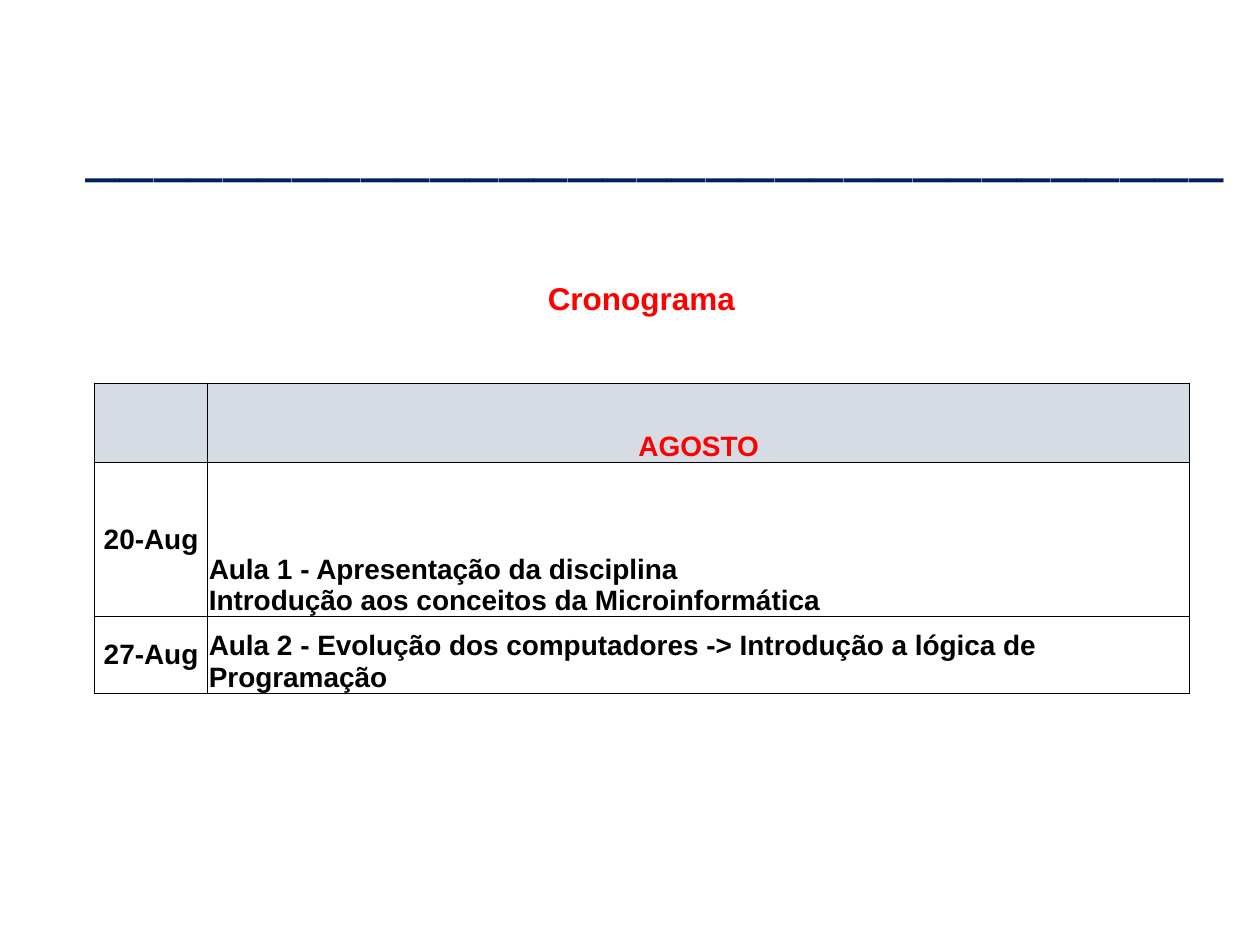
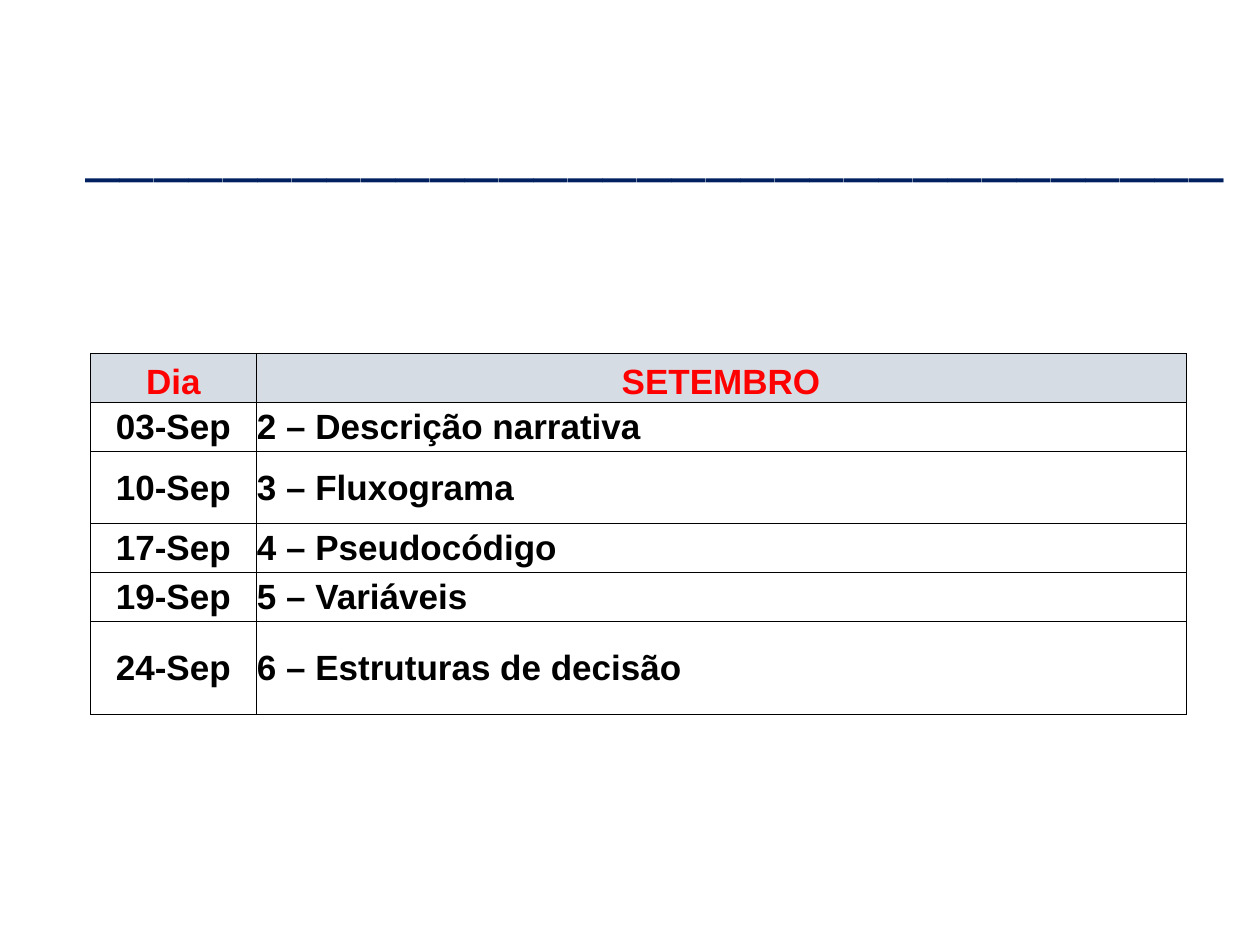
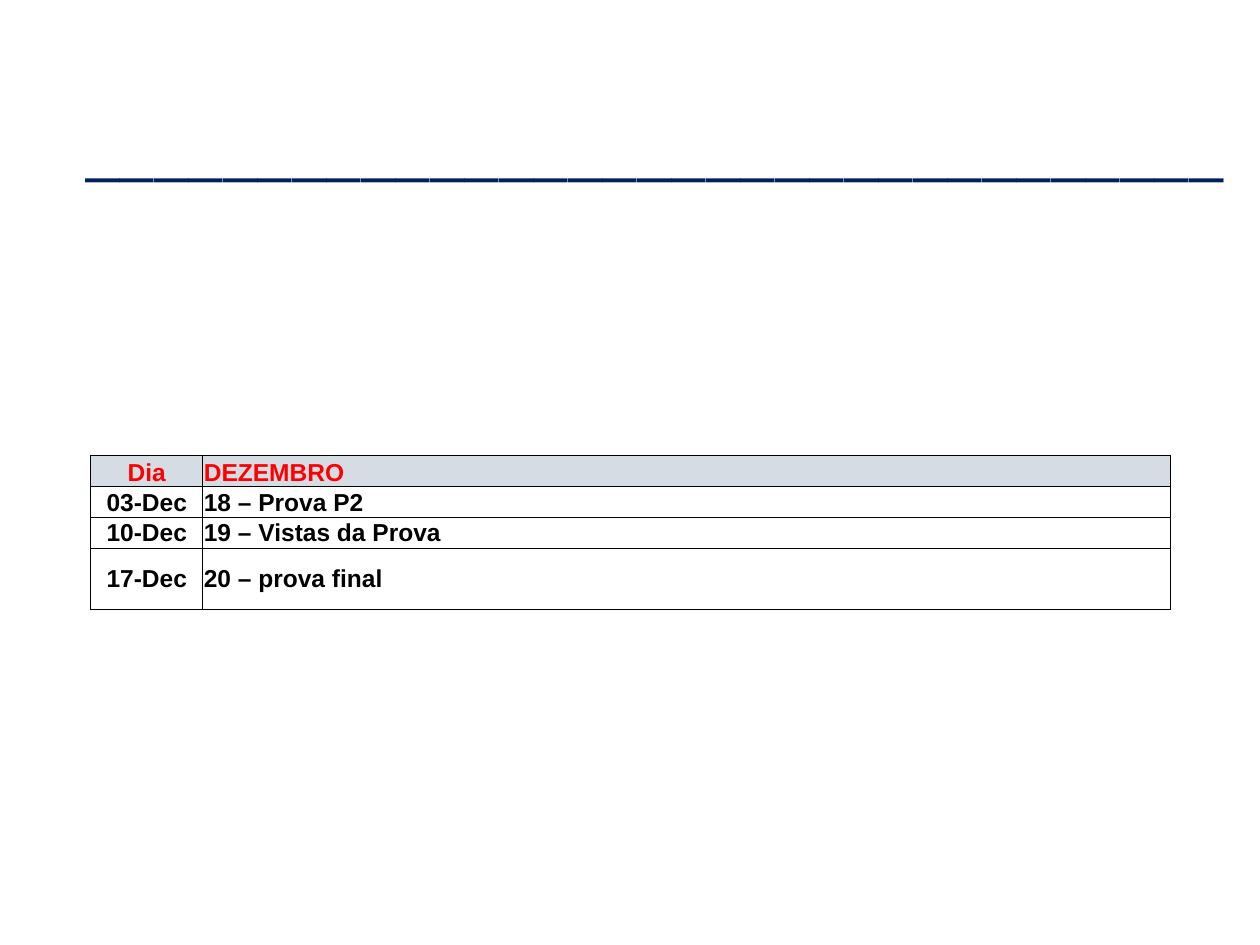
from dataclasses import dataclass

from lxml.etree import SubElement
from pptx import Presentation
from pptx.dml.color import RGBColor
from pptx.enum.text import MSO_ANCHOR as Anchor, PP_ALIGN as Align
from pptx.oxml.ns import qn
from pptx.slide import Slide
from pptx.table import _Cell as Cell
from pptx.text.text import TextFrame
from pptx.util import Cm, Pt


@dataclass(frozen=True)
class Theme:
    rule: str = "002060"
    accent: str = "FF0000"
    ink: str = "000000"
    header: str = "D6DCE4"
    rule_font: str = "Calibri"
    body_font: str = "Arial"
    rule_size: float = 39.6
    heading_size: float = 18
    border: float = 0.5


@dataclass(frozen=True)
class Schedule:
    left: float
    top: float
    columns: tuple[float, float]
    heights: tuple[float, ...]
    size: float
    header: tuple[str, str]
    classes: tuple[tuple[str, str], ...]
    month_align: Align = Align.CENTER
    topic_anchor: Anchor = Anchor.MIDDLE
    heading: str = ""


THEME = Theme()

SCHEDULES = (
    Schedule(
        1.9, 7.72, (2.29, 19.79), (1.6, 3.1, 1.55), 16,
        ("", "AGOSTO"),
        (
            ("20-Aug", "Aula 1 - Apresentação da disciplina\n"
                       "Introdução aos conceitos da Microinformática"),
            ("27-Aug", "Aula 2 - Evolução dos computadores -> "
                       "Introdução a lógica de Programação"),
        ),
        topic_anchor=Anchor.BOTTOM,
        heading="Cronograma",
    ),
    Schedule(
        1.83, 7.12, (3.33, 18.75), (0.99, 0.99, 1.45, 0.99, 0.99, 1.88), 20,
        ("Dia", "SETEMBRO"),
        (
            ("03-Sep", "2 – Descrição narrativa"),
            ("10-Sep", "3 – Fluxograma"),
            ("17-Sep", "4 – Pseudocódigo"),
            ("19-Sep", "5 – Variáveis"),
            ("24-Sep", "6 – Estruturas de decisão"),
        ),
    ),
    Schedule(
        1.83, 9.18, (2.26, 19.51), (0.63, 0.62, 0.62, 1.24), 14,
        ("Dia", "DEZEMBRO"),
        (
            ("03-Dec", "18 – Prova P2"),
            ("10-Dec", "19 – Vistas da Prova"),
            ("17-Dec", "20 – prova final"),
        ),
        month_align=Align.LEFT,
    ),
)


def write(frame: TextFrame, text: str, *, size: float, color: str,
          font: str = THEME.body_font, bold: bool = True,
          align: Align = Align.CENTER) -> None:
    frame.word_wrap = True
    frame.text = text
    for paragraph in frame.paragraphs:
        paragraph.alignment = align
        for run in paragraph.runs:
            run.font.name = font
            run.font.size = Pt(size)
            run.font.bold = bold
            run.font.color.rgb = RGBColor.from_string(color)


def draw_rule(slide: Slide) -> None:
    rule = slide.shapes.add_textbox(Cm(1.3), Cm(1.35), Cm(23.8), Cm(3.18))
    rule.text_frame.vertical_anchor = Anchor.MIDDLE
    write(rule.text_frame, "_" * 33, size=THEME.rule_size, color=THEME.rule,
          font=THEME.rule_font, bold=False)


def draw_heading(slide: Slide, text: str) -> None:
    heading = slide.shapes.add_textbox(Cm(6.53), Cm(5.51), Cm(12.8), Cm(1.02))
    write(heading.text_frame, text, size=THEME.heading_size, color=THEME.accent)


def add_borders(cell: Cell) -> None:
    properties = cell._tc.get_or_add_tcPr()
    for side in ("a:lnL", "a:lnR", "a:lnT", "a:lnB"):
        line = SubElement(properties, qn(side), w=str(Pt(THEME.border)))
        fill = SubElement(line, qn("a:solidFill"))
        SubElement(fill, qn("a:srgbClr"), val=THEME.ink)


def draw_schedule(slide: Slide, schedule: Schedule) -> None:
    rows = (schedule.header, *schedule.classes)
    table = slide.shapes.add_table(
        len(rows), len(schedule.columns), Cm(schedule.left), Cm(schedule.top),
        Cm(sum(schedule.columns)), Cm(sum(schedule.heights))).table
    table.first_row = table.horz_banding = False
    for column, width in zip(table.columns, schedule.columns):
        column.width = Cm(width)
    for row, height in zip(table.rows, schedule.heights):
        row.height = Cm(height)

    for row_index, texts in enumerate(rows):
        is_header = row_index == 0
        topic_align = schedule.month_align if is_header else Align.LEFT
        day_anchor = Anchor.BOTTOM if is_header else Anchor.MIDDLE
        topic_anchor = Anchor.BOTTOM if is_header else schedule.topic_anchor
        aligns = (Align.CENTER, topic_align)
        anchors = (day_anchor, topic_anchor)
        for column_index, text in enumerate(texts):
            cell = table.cell(row_index, column_index)
            cell.margin_left = cell.margin_right = cell.margin_top = Cm(0.02)
            cell.margin_bottom = 0
            cell.vertical_anchor = anchors[column_index]
            add_borders(cell)
            if is_header:
                cell.fill.solid()
                cell.fill.fore_color.rgb = RGBColor.from_string(THEME.header)
            else:
                cell.fill.background()
            if text:
                write(cell.text_frame, text, size=schedule.size,
                      color=THEME.accent if is_header else THEME.ink,
                      align=aligns[column_index])


def main() -> None:
    deck = Presentation()
    deck.slide_width, deck.slide_height = Cm(25.4), Cm(19.05)
    blank = deck.slide_layouts[6]
    for schedule in SCHEDULES:
        slide = deck.slides.add_slide(blank)
        draw_rule(slide)
        draw_schedule(slide, schedule)
        if schedule.heading:
            draw_heading(slide, schedule.heading)
    deck.save("out.pptx")


if __name__ == "__main__":
    main()
